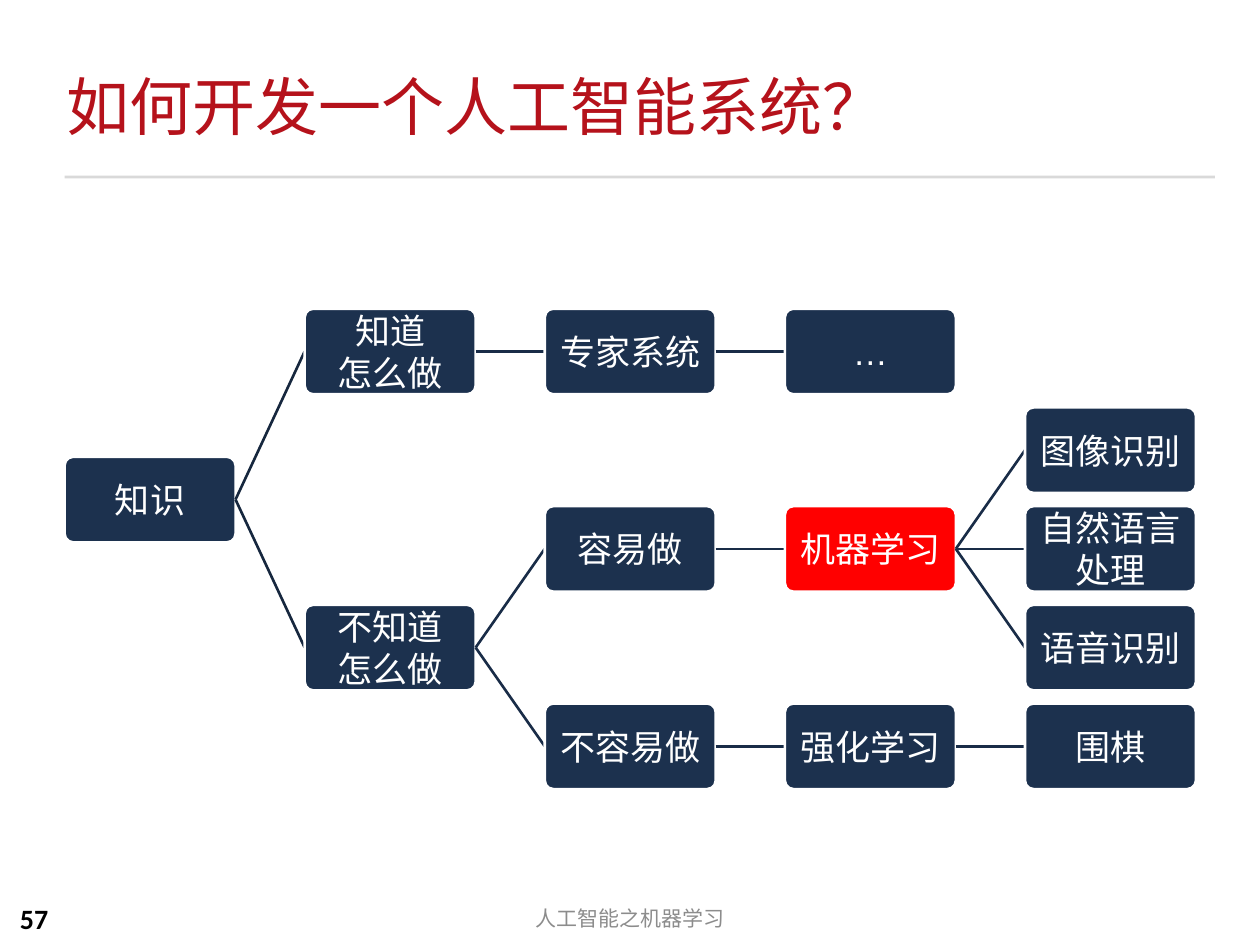
from dataclasses import dataclass

from lxml import etree
from pptx import Presentation
from pptx import util as u
from pptx.dml.color import RGBColor
from pptx.enum import shapes, text
from pptx.oxml.ns import qn


@dataclass(frozen=True)
class Theme:
    """Colours, fonts and type sizes of the slide."""
    title: str = "B5121B"
    rule: str = "D9D9D9"
    node: str = "1C314E"
    accent: str = "FF0000"
    root_link: str = "16273E"
    link: str = "192C47"
    white: str = "FFFFFF"
    footer: str = "8C8C8C"
    number: str = "000000"
    cjk_font: str = "Noto Sans CJK SC"
    node_font: str = "Arial"
    footer_font: str = "Calibri"
    title_size: int = 36
    node_size: int = 20
    footer_size: int = 12
    number_size: int = 16


THEME = Theme()
LEFT, TOP = 36.9, 176.4
COLUMN_STEP, ROW_STEP = 137.2, 56.4
NODE_WIDTH, NODE_HEIGHT = 97.7, 48.9

TREE = ("知识", 1.5, [
    ("知道\n怎么做", 0, [("专家系统", 0, [("…", 0, [])])]),
    ("不知道\n怎么做", 3, [
        ("容易做", 2, [
            ("机器学习", 2, [
                ("图像识别", 1, []),
                ("自然语言处理", 2, []),
                ("语音识别", 3, []),
            ]),
        ]),
        ("不容易做", 4, [("强化学习", 4, [("围棋", 4, [])])]),
    ]),
])


def write(shape, words, font, size, color, align, bold=False):
    """Write the words into a shape, one paragraph a line."""
    frame = shape.text_frame
    frame.word_wrap = True
    frame.text = words
    for para in frame.paragraphs:
        para.alignment = align
        para.font.name = font
        para.font.size = u.Pt(size)
        para.font.bold = bold
        para.font.color.rgb = RGBColor.from_string(color)
        east_asian = etree.Element(qn("a:ea"), typeface=THEME.cjk_font)
        para.font._element.find(qn("a:latin")).addnext(east_asian)
    return frame


def add_title(slide, words):
    """Place and format the title placeholder."""
    title = slide.shapes.title
    title.left, title.top = u.Pt(31), u.Pt(43.2)
    title.width, title.height = u.Pt(601), u.Pt(90.7)
    frame = write(title, words, THEME.cjk_font, THEME.title_size,
                  THEME.title, text.PP_ALIGN.LEFT)
    frame.vertical_anchor = text.MSO_ANCHOR.TOP
    frame.paragraphs[0].line_spacing = u.Pt(35)


def add_block(slide, kind, left, top, width, height, fill):
    """Add a filled shape without line or shadow."""
    block = slide.shapes.add_shape(
        kind, u.Pt(left), u.Pt(top), u.Pt(width), u.Pt(height))
    block.shadow.inherit = False
    block.fill.solid()
    block.fill.fore_color.rgb = RGBColor.from_string(fill)
    block.line.fill.background()
    return block


def add_label(slide, left, width, words, size, color, align, bold=False):
    """Add a text box in the footer band."""
    box = slide.shapes.add_textbox(
        u.Pt(left), u.Pt(510.5), u.Pt(width), u.Pt(28.8))
    frame = write(box, words, THEME.footer_font, size, color, align, bold)
    frame.vertical_anchor = text.MSO_ANCHOR.MIDDLE


def add_node(slide, words, column, row):
    """Add one rounded box of the tree at a grid position."""
    fill = THEME.accent if words == "机器学习" else THEME.node
    box = add_block(slide, shapes.MSO_SHAPE.ROUNDED_RECTANGLE,
                    LEFT + column * COLUMN_STEP, TOP + row * ROW_STEP,
                    NODE_WIDTH, NODE_HEIGHT, fill)
    box.adjustments[0] = 0.1
    box.line.color.rgb = RGBColor.from_string(THEME.white)
    box.line.width = u.Pt(1.5)
    frame = write(box, words, THEME.node_font, THEME.node_size,
                  THEME.white, text.PP_ALIGN.CENTER)
    frame.vertical_anchor = text.MSO_ANCHOR.MIDDLE
    frame.margin_left = frame.margin_right = u.Pt(2.2)
    frame.margin_top = frame.margin_bottom = u.Pt(2.2)
    return box


def add_link(slide, parent, child, color):
    """Join a parent to its child with a line that lies behind the child."""
    link = slide.shapes.add_connector(shapes.MSO_CONNECTOR.STRAIGHT, 0, 0, 0, 0)
    link.begin_connect(parent, 3)
    link.end_connect(child, 1)
    link.line.color.rgb = RGBColor.from_string(color)
    link.line.width = u.Pt(1.5)
    etree.SubElement(link._element.spPr, qn("a:effectLst"))
    child._element.addprevious(link._element)


def add_tree(slide, branch, column=0):
    """Add a branch with all its descendants and return its first box."""
    words, row, children = branch
    box = add_node(slide, words, column, row)
    color = THEME.link if column else THEME.root_link
    for child in children:
        add_link(slide, box, add_tree(slide, child, column + 1), color)
    return box


def main():
    """Build the slide and save the deck."""
    deck = Presentation()
    deck.slide_width, deck.slide_height = u.Pt(720), u.Pt(540)
    slide = deck.slides.add_slide(deck.slide_layouts[5])
    add_block(slide, shapes.MSO_SHAPE.RECTANGLE, 36.9, 100.4, 657.4, 1.6, THEME.rule)
    add_title(slide, "如何开发一个人工智能系统？")
    add_label(slide, 238.3, 243.4, "人工智能之机器学习", THEME.footer_size,
              THEME.footer, text.PP_ALIGN.CENTER)
    add_label(slide, 2.2, 32.4, "57", THEME.number_size,
              THEME.number, text.PP_ALIGN.RIGHT, bold=True)
    add_tree(slide, TREE)
    deck.save("out.pptx")


if __name__ == "__main__":
    main()
